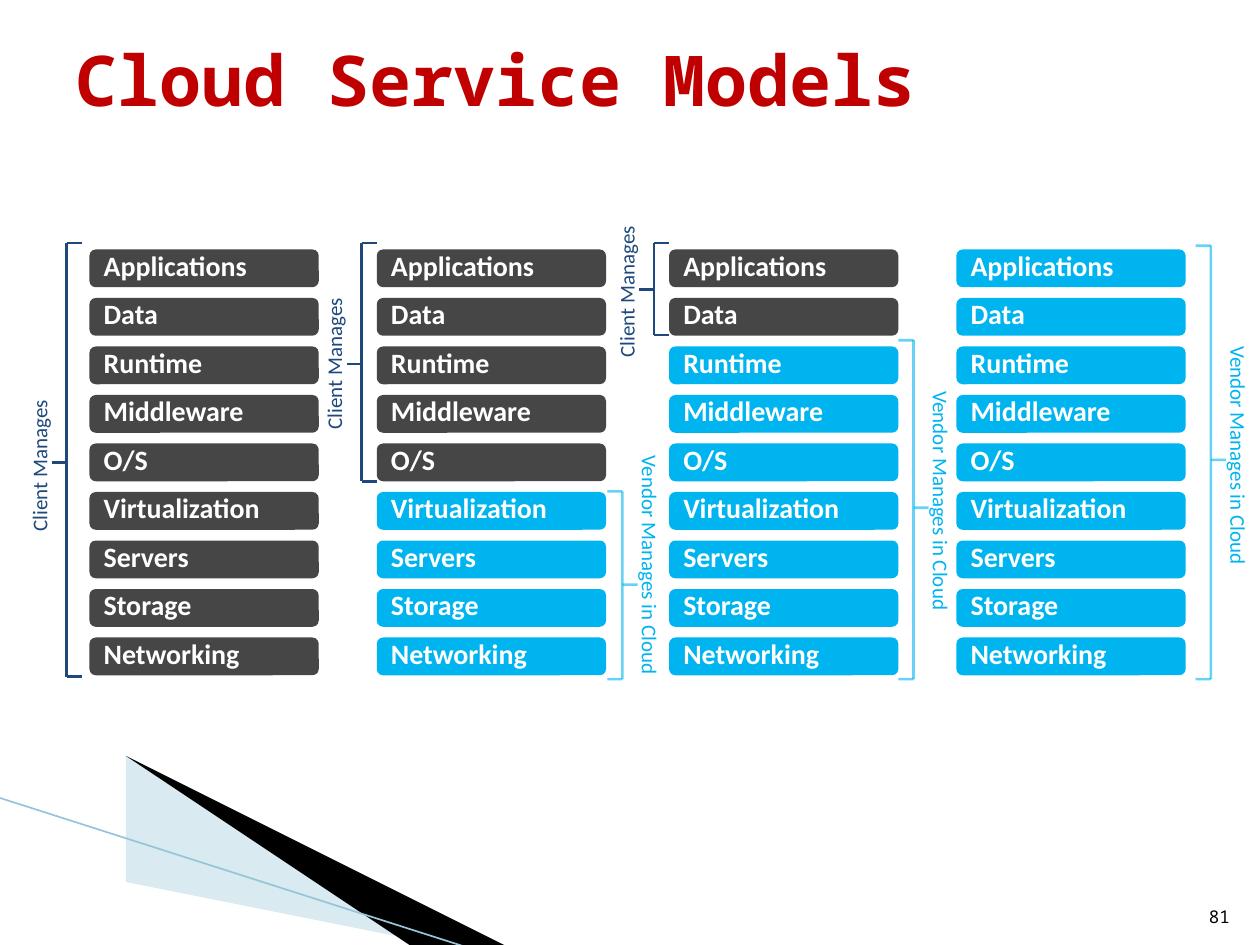
from lxml.etree import SubElement
from pptx import Presentation
from pptx.dml.color import RGBColor
from pptx.enum.shapes import MSO_CONNECTOR, MSO_SHAPE
from pptx.enum.text import MSO_ANCHOR, PP_ALIGN
from pptx.oxml.ns import qn
from pptx.util import Inches, Pt

DARK, CLOUD, NAVY = "464646", "00B4F0", "1F497D"
MONO, SANS = "Noto Sans Mono", "Calibri"


def color(code):
    return RGBColor.from_string(code)


def fade(shape, alpha):
    """Set the opacity of a shape's one solid colour, in percent."""
    tint = shape._element.spPr.find(".//" + qn("a:srgbClr"))
    SubElement(tint, qn("a:alpha")).set("val", str(alpha * 1000))


class Deck:
    def __init__(self, wide, high):
        self.file = Presentation()
        self.file.slide_width = Inches(wide)
        self.file.slide_height = Inches(high)
        self.slide = self.file.slides.add_slide(self.file.slide_layouts[6])
        self.shapes = self.slide.shapes

    def label(self, shape, text, size, font, code, bold=False,
              anchor=MSO_ANCHOR.MIDDLE, align=PP_ALIGN.LEFT, wrap=True):
        frame = shape.text_frame
        frame.text = text
        frame.word_wrap = wrap
        frame.vertical_anchor = anchor
        line = frame.paragraphs[0]
        line.alignment = align
        style = line.runs[0].font
        style.size, style.name, style.bold = Pt(size), font, bold
        style.color.rgb = color(code)
        return line

    def text(self, left, top, wide, high, *words, **style):
        box = self.shapes.add_textbox(*map(Inches, (left, top, wide, high)))
        self.label(box, *words, **style)
        return box

    def bar(self, left, top, wide, high, name, code):
        box = self.shapes.add_shape(MSO_SHAPE.ROUNDED_RECTANGLE,
                                    *map(Inches, (left, top, wide, high)))
        box.shadow.inherit = False
        box.fill.solid()
        box.fill.fore_color.rgb = color(code)
        box.line.fill.background()
        self.label(box, name, 16, SANS, "FFFFFF", bold=True).line_spacing = 0.8

    def line(self, start, end, code, width=1.5, alpha=100):
        rule = self.shapes.add_connector(MSO_CONNECTOR.STRAIGHT,
                                         *map(Inches, start + end))
        rule.line.width = Pt(width)
        rule.line.color.rgb = color(code)
        if alpha < 100:
            fade(rule, alpha)
        SubElement(rule._element.spPr, qn("a:effectLst"))

    def wedge(self, points, code, alpha=100):
        pen = self.shapes.build_freeform(*points[0], scale=Inches(1))
        pen.add_line_segments(points[1:], close=True)
        form = pen.convert_to_shape()
        form.shadow.inherit = False
        form.fill.solid()
        form.fill.fore_color.rgb = color(code)
        form.line.fill.background()
        if alpha < 100:
            fade(form, alpha)

    def bracket(self, x, top, low, stem, mid, cloud):
        """Draw a spine, two ticks, a stem and a turned label."""
        side = 1 if cloud else -1
        code, alpha = (CLOUD, 60) if cloud else (NAVY, 100)
        tick, out = x - side * 0.12, x + side * 0.12
        for start, end in (((x, top), (x, low)), ((x, top), (tick, top)),
                           ((x, low), (tick, low)), ((x, stem), (out, stem))):
            self.line(start, end, code, alpha=alpha)
        name = "Vendor Manages in Cloud" if cloud else "Client Manages"
        wide, high = (1.96 if cloud else 1.25), 0.3
        note = self.text(x + side * 0.22 - wide / 2, mid - high / 2, wide, high,
                         name, 12, SANS, code, wrap=False, anchor=MSO_ANCHOR.TOP)
        note.rotation = side * 90 % 360


def main():
    deck = Deck(10, 7.5)

    # Corner sweep
    deck.wedge([(0.55, 6.51), (5.95, 7.51), (4.56, 7.51), (0.55, 6.5)], "A0CBDC", 40)
    deck.wedge([(0.53, 6.49), (4.57, 7.51), (3.72, 7.52), (0.54, 6.5)], "000000")
    deck.line((-0.01, 6.33), (3.71, 7.52), "97C5D8", 0.95)

    # Title and page number
    deck.text(0.5, 0, 9, 1.25, "Cloud Service Models", 40, MONO, "C00000", bold=True)
    deck.text(9.46, 7.01, 0.4, 0.4, "81", 10, MONO, "000000",
              anchor=MSO_ANCHOR.BOTTOM, align=PP_ALIGN.RIGHT, wrap=False)

    # Stacks: left edge and number of layers the client runs
    layers = ["Applications", "Data", "Runtime", "Middleware", "O/S",
              "Virtualization", "Servers", "Storage", "Networking"]
    for left, own in ((0.71, 9), (2.99, 5), (5.31, 2), (7.59, 0)):
        for row, name in enumerate(layers):
            deck.bar(left, 1.98 + row * 3.08 / 8, 1.82, 0.3, name,
                     DARK if row < own else CLOUD)

    # Brackets: spine, top, bottom, stem, label centre, run by vendor
    for part in ((0.53, 1.93, 5.37, 3.67, 3.69, False),
                 (2.87, 1.93, 3.82, 2.89, 2.88, False),
                 (5.19, 1.93, 2.66, 2.3, 2.31, False),
                 (4.94, 3.9, 5.39, 4.64, 4.5, True),
                 (7.25, 2.7, 5.39, 4.03, 3.99, True),
                 (9.61, 1.95, 5.39, 3.65, 3.63, True)):
        deck.bracket(*part)

    deck.file.save("out.pptx")


if __name__ == "__main__":
    main()
